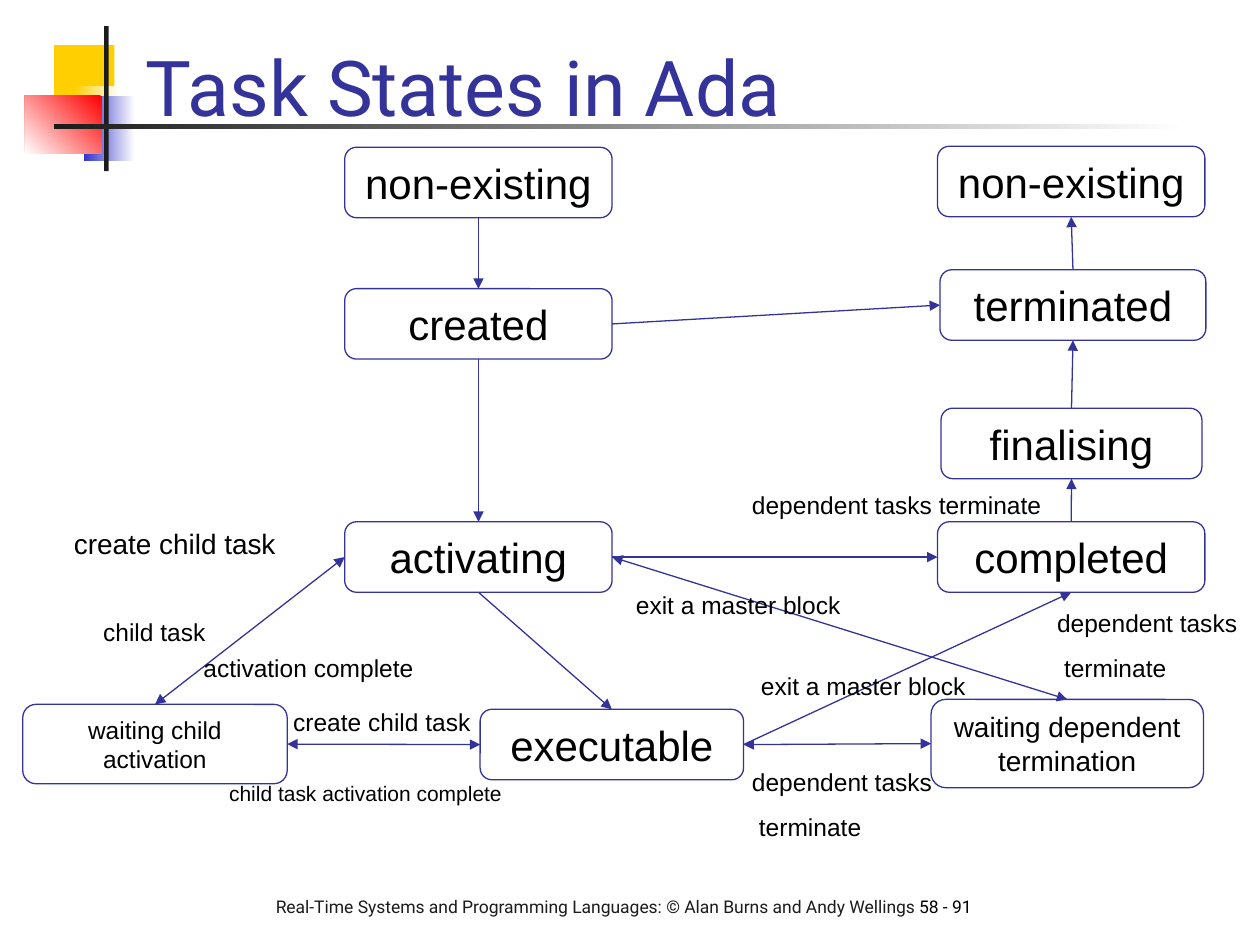
import dataclasses

import pptx
import pptx.dml.color
import pptx.enum.shapes
import pptx.enum.text
import pptx.oxml.ns
import pptx.util
from lxml import etree

Cm = pptx.util.Cm
Pt = pptx.util.Pt
ALIGN = pptx.enum.text.PP_ALIGN
ANCHOR = pptx.enum.text.MSO_ANCHOR
TOP, LEFT, BOTTOM, RIGHT = range(4)


@dataclasses.dataclass(frozen=True)
class Theme:
    ink: str = "000000"
    accent: str = "333399"
    dark: str = "1C1C1C"
    white: str = "FFFFFF"
    yellow: str = "FFCF01"
    blue: str = "3333CC"
    red: str = "FF0000"
    body_font: str = "Arial"
    head_font: str = "Roboto"
    title: int = 44
    state: int = 24
    large: int = 16
    label: int = 14
    small: int = 12
    footer: int = 10
    stroke: float = 0.75


class SlideBuilder:
    def __init__(self, slide, theme):
        self.slide = slide
        self.theme = theme

    def color(self, value):
        return pptx.dml.color.RGBColor.from_string(value)

    def span(self, para, text, size, font=None, color=None):
        span = para.add_run()
        span.text = text
        span.font.size = Pt(size)
        span.font.name = font or self.theme.body_font
        span.font.color.rgb = self.color(color or self.theme.ink)

    def block(self, place, color, fade_from=None, angle=180):
        box = self.slide.shapes.add_shape(
            pptx.enum.shapes.MSO_SHAPE.RECTANGLE, *map(Cm, place))
        box.shadow.inherit = False
        box.line.fill.background()
        if fade_from is None:
            box.fill.solid()
            box.fill.fore_color.rgb = self.color(color)
            return
        box.fill.gradient()
        box.fill.gradient_angle = angle
        for stop, value, position in zip(box.fill.gradient_stops, (fade_from, color), (0, 1)):
            stop.color.rgb = self.color(value)
            stop.position = position

    def text_box(self, place, anchor=ANCHOR.TOP):
        box = self.slide.shapes.add_textbox(*map(Cm, place))
        box.text_frame.word_wrap = True
        box.text_frame.vertical_anchor = anchor
        return box.text_frame

    def heading(self, place, text):
        frame = self.text_box(place, ANCHOR.BOTTOM)
        self.span(frame.paragraphs[0], text, self.theme.title,
                  self.theme.head_font, self.theme.accent)

    def footer(self, place, parts):
        para = self.text_box(place).paragraphs[0]
        for text, color in parts:
            self.span(para, text, self.theme.footer, self.theme.head_font, color)

    def label(self, place, lines, size, spacing=None, last_align=None, last_indent=0):
        frame = self.text_box(place)
        for index, text in enumerate(lines):
            para = frame.add_paragraph() if index else frame.paragraphs[0]
            if spacing:
                para.line_spacing = spacing
            if index:
                para.space_before = Pt(8.8)
                para.alignment = last_align
                para._p.get_or_add_pPr().set("marL", str(Cm(last_indent)))
            self.span(para, text, size)

    def state(self, place, text, size):
        box = self.slide.shapes.add_shape(
            pptx.enum.shapes.MSO_SHAPE.ROUNDED_RECTANGLE, *map(Cm, place))
        box.shadow.inherit = False
        box.fill.background()
        box.line.color.rgb = self.color(self.theme.accent)
        box.line.width = Pt(self.theme.stroke)
        frame = box.text_frame
        frame.word_wrap = True
        frame.vertical_anchor = ANCHOR.MIDDLE
        para = frame.paragraphs[0]
        para.alignment = ALIGN.CENTER
        self.span(para, text, size)
        return box

    def arrow(self, start, start_side, end, end_side, both=False):
        line = self.slide.shapes.add_connector(
            pptx.enum.shapes.MSO_CONNECTOR.STRAIGHT, 0, 0, 0, 0)
        line.begin_connect(start, start_side)
        line.end_connect(end, end_side)
        line.line.color.rgb = self.color(self.theme.accent)
        line.line.width = Pt(self.theme.stroke)
        stroke = line.line._get_or_add_ln()
        for tag in ("a:headEnd", "a:tailEnd") if both else ("a:tailEnd",):
            etree.SubElement(stroke, pptx.oxml.ns.qn(tag)).set("type", "triangle")
        etree.SubElement(line._element.spPr, pptx.oxml.ns.qn("a:effectLst"))


def main():
    deck = pptx.Presentation()
    deck.slide_width, deck.slide_height = Cm(25.4), Cm(19.05)
    theme = Theme()
    page = SlideBuilder(deck.slides.add_slide(deck.slide_layouts[6]), theme)

    page.block((1.09, 0.91, 1.22, 1.32), theme.yellow)
    page.block((1.5, 1.73, 0.91, 1.32), theme.yellow, theme.white)
    page.block((1.7, 1.93, 1.02, 1.32), theme.blue, theme.white)
    page.block((0.5, 1.93, 1.55, 1.17), theme.white, theme.red, 225)
    page.block((2.1, 0.53, 0.09, 2.92), theme.dark)
    page.block((1.09, 2.51, 22.86, 0.09), theme.dark, theme.white)
    page.footer((5.31, 17.93, 15.39, 1.17), (
        ("Real-Time Systems and Programming Languages: © Alan Burns and Andy Wellings ", theme.dark),
        ("58 - 91", theme.ink)))
    page.heading((2.69, 0.33, 21.64, 2.46), "Task States in Ada")

    row_height = 1.42
    states = {
        name: page.state((left, top, width, row_height), text, theme.state)
        for name, text, left, top, width in (
            ("unborn", "non-existing", 6.95, 2.97, 5.39),
            ("created", "created", 6.95, 5.82, 5.39),
            ("activating", "activating", 6.95, 10.52, 5.39),
            ("executable", "executable", 9.68, 14.3, 5.31),
            ("gone", "non-existing", 18.9, 2.95, 5.39),
            ("terminated", "terminated", 18.95, 5.44, 5.36),
            ("finalising", "finalising", 18.97, 8.23, 5.26),
            ("completed", "completed", 18.9, 10.52, 5.39),
        )
    }
    states["child"] = page.state(
        (0.46, 14.2, 5.33, 1.6), "waiting child activation", theme.label)
    states["dependent"] = page.state(
        (18.77, 14.1, 5.49, 1.78), "waiting dependent termination", theme.large)

    for start, start_side, end, end_side, both in (
        ("unborn", BOTTOM, "created", TOP, False),
        ("created", BOTTOM, "activating", TOP, False),
        ("created", RIGHT, "terminated", LEFT, False),
        ("activating", BOTTOM, "executable", TOP, False),
        ("activating", RIGHT, "completed", LEFT, False),
        ("executable", RIGHT, "completed", BOTTOM, False),
        ("completed", TOP, "finalising", BOTTOM, False),
        ("finalising", TOP, "terminated", BOTTOM, False),
        ("terminated", TOP, "gone", BOTTOM, False),
        ("child", TOP, "activating", LEFT, True),
        ("child", RIGHT, "executable", LEFT, True),
        ("executable", RIGHT, "dependent", LEFT, True),
        ("activating", RIGHT, "dependent", TOP, True),
    ):
        page.arrow(states[start], start_side, states[end], end_side, both)

    page.label((1.24, 10.49, 5.23, 0.94), ["create child task"], theme.large)
    page.label((1.83, 12.47, 6.76, 1.4), ["child task", "activation complete"],
               theme.label, 0.7, ALIGN.RIGHT)
    page.label((5.66, 14.12, 4.55, 0.86), ["create child task"], theme.label)
    page.label((4.37, 15.75, 7.7, 0.61), ["child task activation complete"], theme.small, 0.7)
    for left, top in ((15.09, 13.41), (12.57, 11.76)):
        page.label((left, top, 5.28, 0.86), ["exit a master block"], theme.label)
    for left, top in ((14.91, 15.34), (21.06, 12.14)):
        page.label((left, top, 5.51, 1.75), ["dependent tasks", "terminate"],
                   theme.label, last_indent=0.14)
    page.label((14.91, 9.75, 7.59, 0.86), ["dependent tasks terminate"], theme.label)

    deck.save("out.pptx")


if __name__ == "__main__":
    main()
